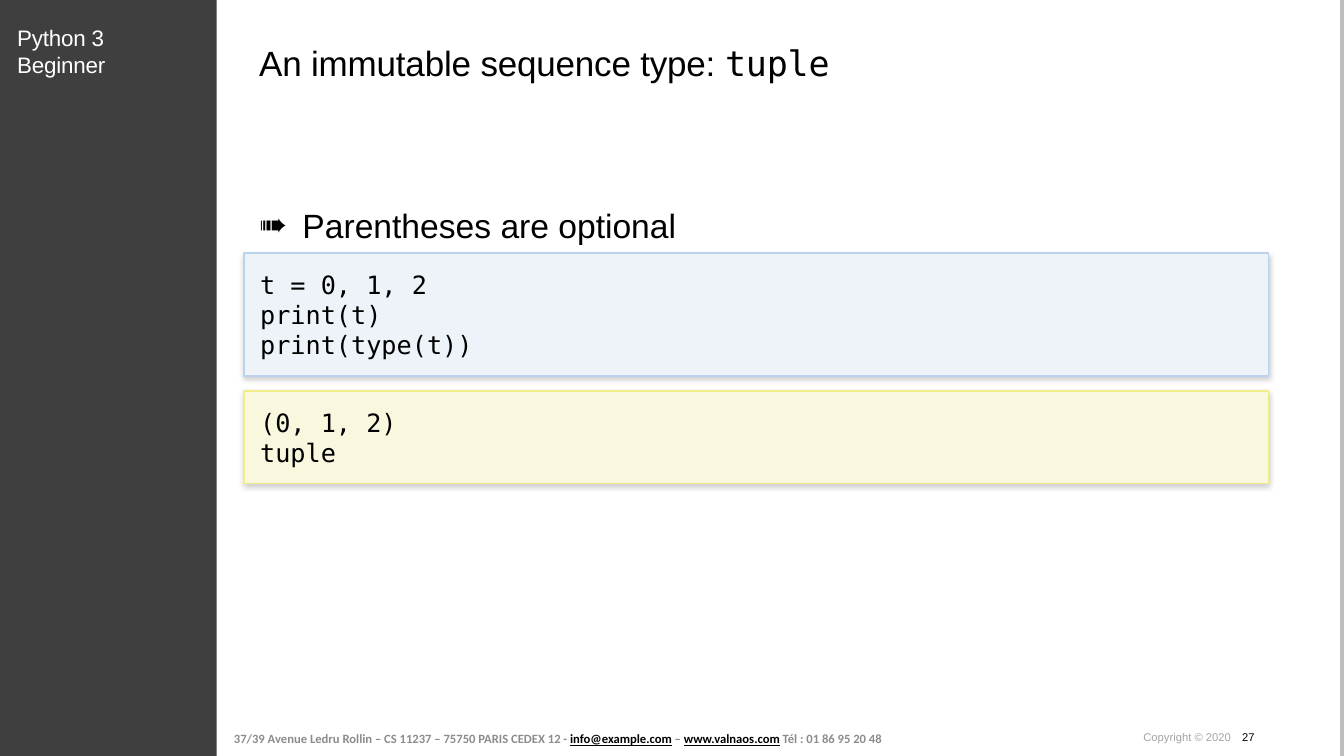
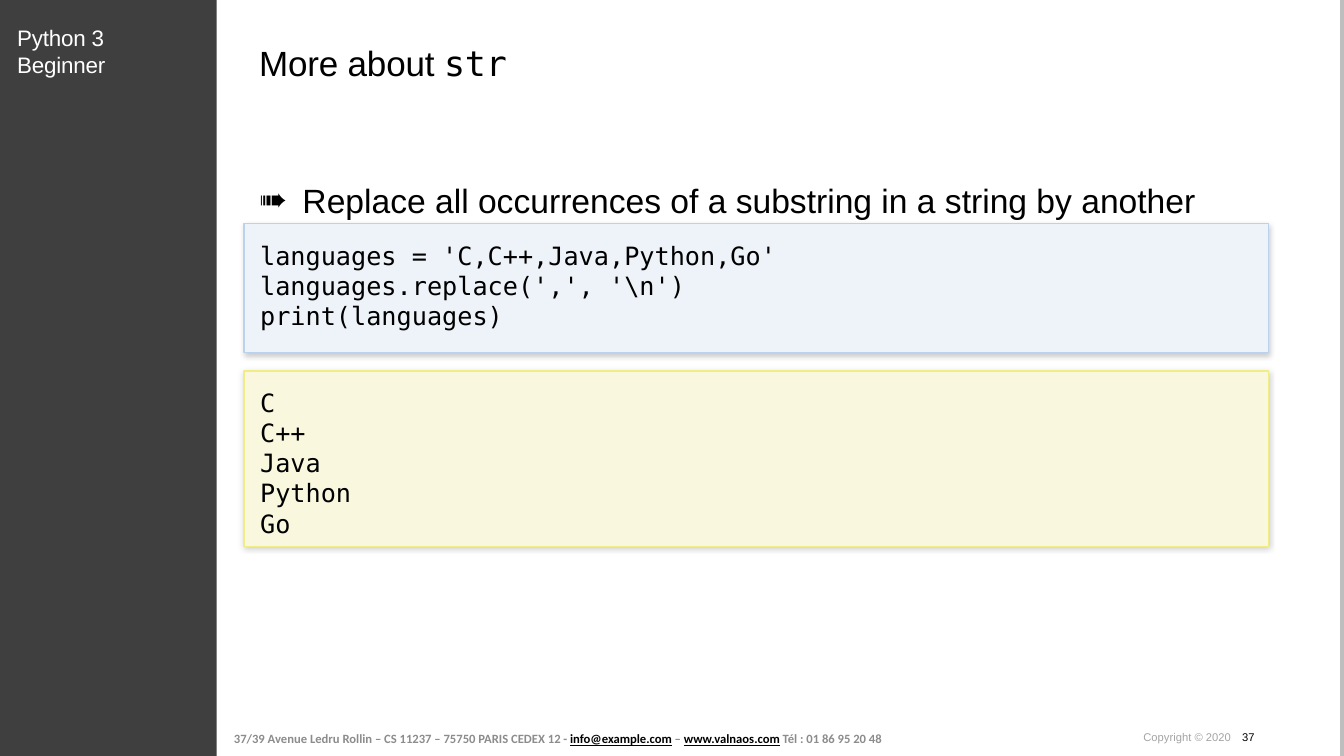
from pptx import Presentation
from pptx.dml.color import RGBColor
from pptx.enum.shapes import MSO_CONNECTOR, MSO_SHAPE
from pptx.enum.text import MSO_ANCHOR, MSO_AUTO_SIZE, PP_ALIGN
from pptx.oxml.ns import qn
from pptx.util import Inches, Pt
from lxml.etree import SubElement

COLORS = {
    "black": "000000",
    "white": "FFFFFF",
    "band": "3F3F3F",
    "edge": "BEBEBE",
    "address": "8C8C8C",
    "copyright": "A4A4A4",
    "code": "EEF3F9",
    "code_line": "BBD2EE",
    "output": "F9F8DF",
    "output_line": "F1ED86",
}
SANS, MONO, FOOTER = "Arial", "DejaVu Sans Mono", "Calibri"
TEXT_LEFT = 2.57
BOX_LEFT, BOX_WIDTH, BOX_INSET = 2.42, 10.16, 0.16


def rgb(name):
    return RGBColor.from_string(COLORS[name])


class Deck:
    """Holds the course style and the slide being built."""

    def __init__(self):
        self.presentation = Presentation()
        self.presentation.slide_width = Inches(13.33)
        self.presentation.slide_height = Inches(7.5)
        self.slide = None

    def new_slide(self, number):
        layout = self.presentation.slide_layouts[1]
        self.slide = self.presentation.slides.add_slide(layout)
        self.side_band()
        self.right_edge()
        self.address()
        self.copyright(number)

    # Text basics
    def run(self, paragraph, text, size, font=SANS, color="black",
            bold=False, underline=False, spacing=0):
        run = paragraph.add_run()
        run.text = text
        run.font.size = Pt(size)
        run.font.name = font
        run.font.color.rgb = rgb(color)
        run.font.bold = bold
        run.font.underline = underline
        if spacing:
            run._r.get_or_add_rPr().set("spc", str(round(spacing * 100)))

    def frame(self, shape, inset=0.0, anchor=MSO_ANCHOR.TOP):
        frame = shape.text_frame
        frame.word_wrap = True
        frame.auto_size = MSO_AUTO_SIZE.NONE
        frame.vertical_anchor = anchor
        frame.margin_left = frame.margin_right = Inches(inset)
        frame.margin_top = frame.margin_bottom = Inches(inset)
        frame.paragraphs[0].alignment = PP_ALIGN.LEFT
        return frame

    def place(self, shape, left, top, width, height):
        shape.left, shape.top = Inches(left), Inches(top)
        shape.width, shape.height = Inches(width), Inches(height)

    def text_box(self, left, top, width, height, **style):
        box = self.slide.shapes.add_textbox(
            Inches(left), Inches(top), Inches(width), Inches(height))
        return self.frame(box, **style).paragraphs[0]

    def rectangle(self, left, top, width, height, fill):
        shape = self.slide.shapes.add_shape(
            MSO_SHAPE.RECTANGLE, Inches(left), Inches(top),
            Inches(width), Inches(height))
        shape.shadow.inherit = False
        shape.fill.solid()
        shape.fill.fore_color.rgb = rgb(fill)
        return shape

    # Parts every slide shares
    def side_band(self):
        band = self.rectangle(0, 0, 2.15, 7.5, "band")
        band.line.fill.background()
        paragraph = self.text_box(0.17, 0.24, 1.7, 0.54)
        self.run(paragraph, "Python 3 Beginner", 16, color="white", spacing=-0.1)

    def right_edge(self):
        edge = self.slide.shapes.add_connector(
            MSO_CONNECTOR.STRAIGHT, Inches(13.31), 0, Inches(13.31), Inches(7.5))
        edge.line.color.rgb = rgb("edge")
        edge.line.width = Pt(3.34)
        SubElement(edge._element.spPr, qn("a:effectLst"))

    def address(self):
        paragraph = self.text_box(2.25, 7.17, 6.68, 0.32, inset=0.07,
                                  anchor=MSO_ANCHOR.MIDDLE)
        for text, is_link in (
            ("37/39 Avenue Ledru Rollin – CS 11237 – 75750 PARIS CEDEX 12 - ", False),
            ("info@example.com", True),
            (" – ", False),
            ("www.valnaos.com", True),
            (" Tél : 01 86 95 20 48", False),
        ):
            self.run(paragraph, text, 9, FOOTER, "black" if is_link else "address",
                     bold=True, underline=is_link)

    def copyright(self, number):
        paragraph = self.text_box(11.34, 7.25, 1.71, 0.13)
        tabs = SubElement(paragraph._p.get_or_add_pPr(), qn("a:tabLst"))
        SubElement(tabs, qn("a:tab"), pos=str(Inches(0.98)), algn="l")
        self.run(paragraph, "Copyright © 2020\t", 8, color="copyright")
        self.run(paragraph, str(number), 8)

    # Slide content
    def title(self, text, code):
        title = self.slide.shapes.title
        self.place(title, TEXT_LEFT, 0.41, 9.91, 0.42)
        paragraph = self.frame(title).paragraphs[0]
        self.run(paragraph, text, 25, spacing=-0.1)
        self.run(paragraph, code, 25, MONO, spacing=-0.1)

    def bullet(self, text, top):
        body = self.slide.placeholders[1]
        self.place(body, TEXT_LEFT, top, 10.01, 0.53)
        paragraph = self.frame(body).paragraphs[0]
        paragraph.line_spacing = 1.5
        paragraph.space_before = Pt(0)
        properties = paragraph._p.get_or_add_pPr()
        properties.set("marL", str(Inches(0.43)))
        properties.set("indent", str(-Inches(0.43)))
        SubElement(properties, qn("a:buChar"), char="➠")
        self.run(paragraph, text, 24)

    def listing(self, lines, top, height, kind):
        box = self.rectangle(BOX_LEFT, top, BOX_WIDTH, height, kind)
        box.line.color.rgb = rgb(kind + "_line")
        box.line.width = Pt(1)
        self.soft_shadow(box)
        frame = self.frame(box, BOX_INSET)
        for index, line in enumerate(lines):
            paragraph = frame.add_paragraph() if index else frame.paragraphs[0]
            paragraph.alignment = PP_ALIGN.LEFT
            self.run(paragraph, line, 18, MONO)

    def soft_shadow(self, shape):
        effects = shape._element.spPr.find(qn("a:effectLst"))
        shadow = SubElement(effects, qn("a:outerShdw"), blurRad=str(Pt(4)),
                            dist=str(Pt(1)), dir="5400000", rotWithShape="0")
        color = SubElement(shadow, qn("a:srgbClr"), val=COLORS["black"])
        SubElement(color, qn("a:alpha"), val="20000")


def main():
    deck = Deck()

    # Tuples
    deck.new_slide(27)
    deck.title("An immutable sequence type: ", "tuple")
    deck.bullet("Parentheses are optional", 1.83)
    deck.listing(["t = 0, 1, 2", "print(t)", "print(type(t))"], 2.51, 1.22, "code")
    deck.listing(["(0, 1, 2)", "tuple"], 3.88, 0.92, "output")

    # String replacement
    deck.new_slide(37)
    deck.title("More about ", "str")
    deck.bullet("Replace all occurrences of a substring in a string by another", 1.58)
    deck.listing(["languages = 'C,C++,Java,Python,Go'",
                  r"languages.replace(',', '\n')",
                  "print(languages)"], 2.22, 1.28, "code")
    deck.listing(["C", "C++", "Java", "Python", "Go"], 3.68, 1.74, "output")

    deck.presentation.save("out.pptx")


if __name__ == "__main__":
    main()
